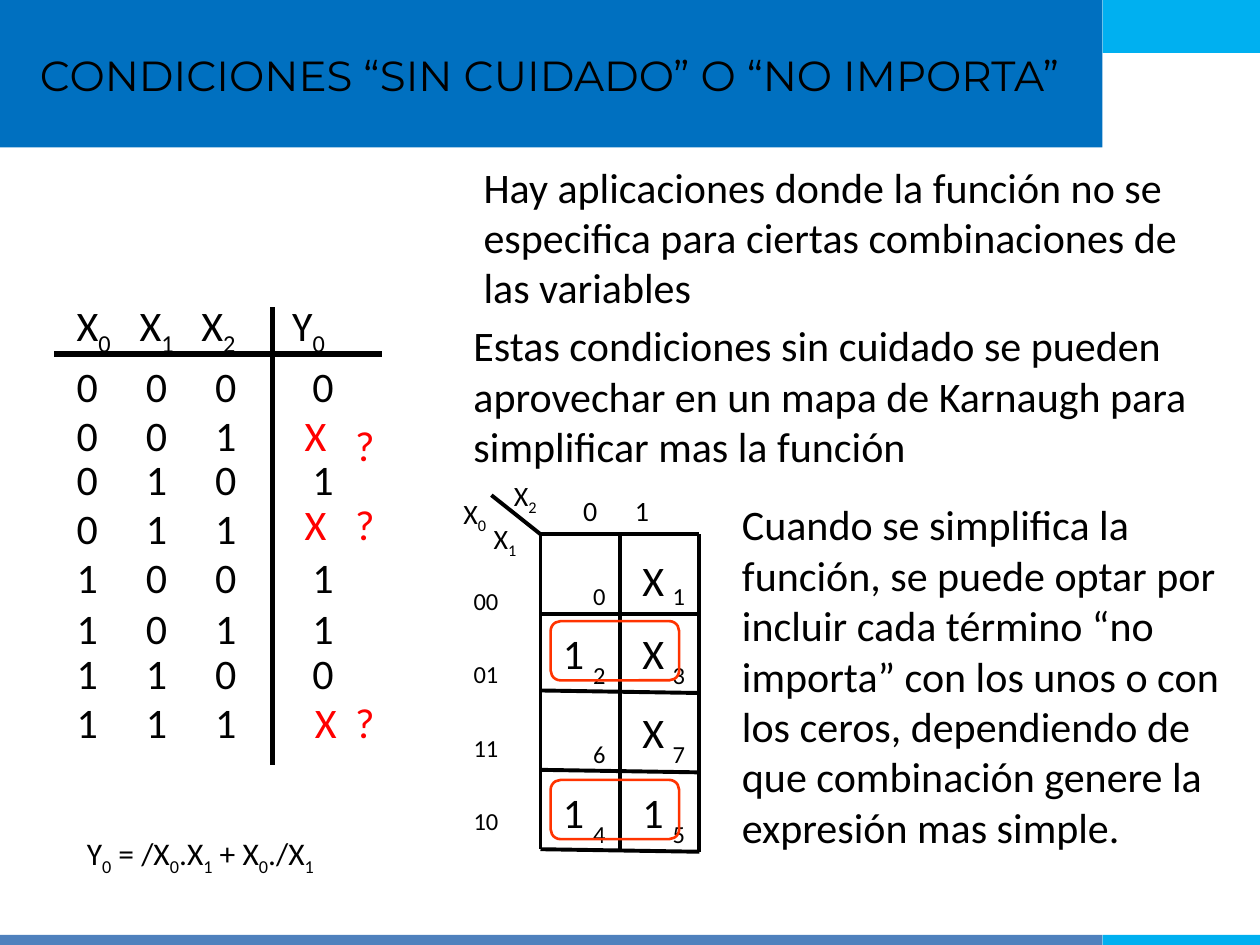
from pptx import Presentation
from pptx.dml.color import RGBColor
from pptx.enum.shapes import MSO_CONNECTOR as Connector, MSO_SHAPE as Shape
from pptx.enum.text import MSO_ANCHOR as Anchor, MSO_AUTO_SIZE as AutoSize, PP_ALIGN as Align
from pptx.oxml.ns import qn
from pptx.util import Inches, Pt
from lxml.etree import SubElement

BLACK, RED, ORANGE = "000000", "FF0000", "FF3300"
BLUE, CYAN, STEEL = "0070C0", "00B0F0", "4F81BD"


def colour(value):
    return RGBColor.from_string(value)


def add_span(para, text, size, font, ink, subscript=False):
    if not text:
        return
    span = para.add_run()
    span.text = text
    span.font.size = Pt(size)
    span.font.name = font
    span.font.color.rgb = colour(ink)
    if subscript:
        span.font._element.set("baseline", "-25000")


def write(frame, text, size=24, font="Calibri", ink=BLACK, align=Align.LEFT,
          spacing=None, tabs=()):
    for index, line in enumerate(text.split("\n")):
        para = frame.paragraphs[0] if index == 0 else frame.add_paragraph()
        para.alignment = align
        if spacing:
            para.line_spacing = spacing
        if tabs:
            stops = SubElement(para._p.get_or_add_pPr(), qn("a:tabLst"))
            for stop in tabs:
                SubElement(stops, qn("a:tab"), pos=str(Inches(stop)), algn="l")
        first, *rest = line.split("_")
        add_span(para, first, size, font, ink)
        for part in rest:
            add_span(para, part[0], size, font, ink, subscript=True)
            add_span(para, part[1:], size, font, ink)


def add_text(page, left, top, width, height, text, **style):
    box = page.shapes.add_textbox(Inches(left), Inches(top), Inches(width), Inches(height))
    box.text_frame.word_wrap = True
    write(box.text_frame, text, **style)


def add_line(page, x1, y1, x2, y2, weight):
    line = page.shapes.add_connector(
        Connector.STRAIGHT, Inches(x1), Inches(y1), Inches(x2), Inches(y2))
    line.line.color.rgb = colour(BLACK)
    line.line.width = Pt(weight)
    SubElement(line._element.spPr, qn("a:effectLst"))


def add_box(page, left, top, width, height, fill=None, outline=None, kind=Shape.RECTANGLE):
    box = page.shapes.add_shape(kind, Inches(left), Inches(top), Inches(width), Inches(height))
    box.shadow.inherit = False
    if fill:
        box.fill.solid()
        box.fill.fore_color.rgb = colour(fill)
    else:
        box.fill.background()
    if outline:
        box.line.color.rgb = colour(outline)
        box.line.width = Pt(1.5)
    else:
        box.line.fill.background()
    return box


def add_bands(page, width, height):
    split = width * 0.875
    add_box(page, 0, 0, split, 1.17, BLUE)
    add_box(page, split, 0, width - split, 0.42, CYAN)
    add_box(page, 0, height - 0.08, split, 0.08, STEEL)
    add_box(page, split, height - 0.08, width - split, 0.08, CYAN)


def add_title(page, left, top, width, height, text):
    title = page.shapes.title
    title.left, title.top = Inches(left), Inches(top)
    title.width, title.height = Inches(width), Inches(height)
    frame = title.text_frame
    frame.word_wrap = True
    frame.auto_size = AutoSize.NONE
    frame.vertical_anchor = Anchor.MIDDLE
    write(frame, text, font="Montserrat", align=Align.CENTER)
    page.shapes._spTree.append(title._element)


def add_truth_table(page, left, top):
    add_line(page, left, top + 0.48, left + 2.6, top + 0.48, 3)
    add_line(page, left + 1.73, top + 0.11, left + 1.73, top + 3.74, 3)
    add_text(page, left + 0.08, top, 2.44, 0.56, "X_0\tX_1\tX_2\tY_0", tabs=(0.5, 0.99, 1.71))
    rows = [
        (0.48, 0.9, "0000"), (0.87, 0.9, "001"), (1.22, 0.9, "0101"), (1.61, 0.5, "011"),
        (2.0, 0.9, "1001"), (2.4, 0.9, "1011"), (2.76, 0.9, "1100"), (3.15, 0.5, "111"),
    ]
    for offset, height, digits in rows:
        width = 2.28 if len(digits) == 4 else 1.57
        add_text(page, left + 0.08, top + offset, width, height, "\t".join(digits),
                 tabs=(0.55, 1.1, 1.87))
    for mark_x, mark_y, query_y in ((1.89, 0.87, 0.95), (1.89, 1.58, 1.58), (1.97, 3.15, 3.15)):
        add_text(page, left + mark_x, top + mark_y, 0.39, 0.5, "X", ink=RED)
        add_text(page, left + 2.29, top + query_y, 0.39, 0.5, "?", ink=RED)


def add_karnaugh_map(page, left, top, cell=0.63):
    right = left + 2 * cell
    for row in range(5):
        slant = 0.02 if row > 1 else 0
        add_line(page, right, top + row * cell, left, top + row * cell - slant, 2.25)
    for column in range(3):
        bottom = top + 4 * cell - (0 if column else 0.02)
        add_line(page, left + column * cell, top, left + column * cell, bottom, 2.25)
    add_line(page, left - 0.39, top - 0.31, left, top, 2.25)

    for x, y, name in ((-0.31, -0.49, "X_2"), (-0.71, -0.35, "X_0"), (-0.47, -0.15, "X_1")):
        add_text(page, left + x, top + y, 0.47, 0.41, name, size=16)
    add_text(page, left - 0.63, top + 0.01, 0.55, 2.44, "00\n01\n11\n10", size=14, spacing=2.5)
    add_text(page, left + 0.24, top - 0.37, 0.94, 0.37, "0\t1", size=16, tabs=(0.41,))

    rows = [(0.11, "01", " X"), (0.69, "23", "1X"), (1.32, "67", " X"), (1.95, "45", "11")]
    for row, (offset, indices, marks) in enumerate(rows):
        for column, (index, mark) in enumerate(zip(indices, marks)):
            x = left + column * cell
            add_text(page, x + 0.32, top + row * cell + 0.32, 0.47, 0.34, index, size=14)
            if mark != " ":
                add_text(page, x + 0.08, top + offset, 0.37, 0.5, mark)
    for offset in (1.95, 0.69):
        add_box(page, left + 0.08, top + offset, 1.02, 0.47, outline=ORANGE,
                kind=Shape.ROUNDED_RECTANGLE)


def main():
    deck = Presentation()
    deck.slide_width, deck.slide_height = Inches(10), Inches(7.5)
    page = deck.slides.add_slide(deck.slide_layouts[5])
    add_bands(page, 10, 7.5)
    add_title(page, 0.11, 0.11, 8.5, 0.97, "CONDICIONES “SIN CUIDADO” O “NO IMPORTA”")
    add_truth_table(page, 0.43, 2.33)
    add_text(page, 3.74, 1.23, 5.87, 1.3,
             "Hay aplicaciones donde la función no se especifica para ciertas "
             "combinaciones de las variables")
    add_text(page, 3.66, 2.49, 5.94, 1.3,
             "Estas condiciones sin cuidado se pueden aprovechar en un mapa de Karnaugh "
             "para simplificar mas la función")
    add_karnaugh_map(page, 4.29, 4.24)
    add_text(page, 5.79, 3.91, 4.21, 2.9,
             "Cuando se simplifica la función, se puede optar por incluir cada término "
             "“no importa” con los unos o con los ceros, dependiendo de que combinación "
             "genere la expresión mas simple.")
    add_text(page, 0.59, 6.57, 2.68, 0.44, "Y_0 = /X_0.X_1 + X_0./X_1", size=18)
    deck.save("out.pptx")


if __name__ == "__main__":
    main()
